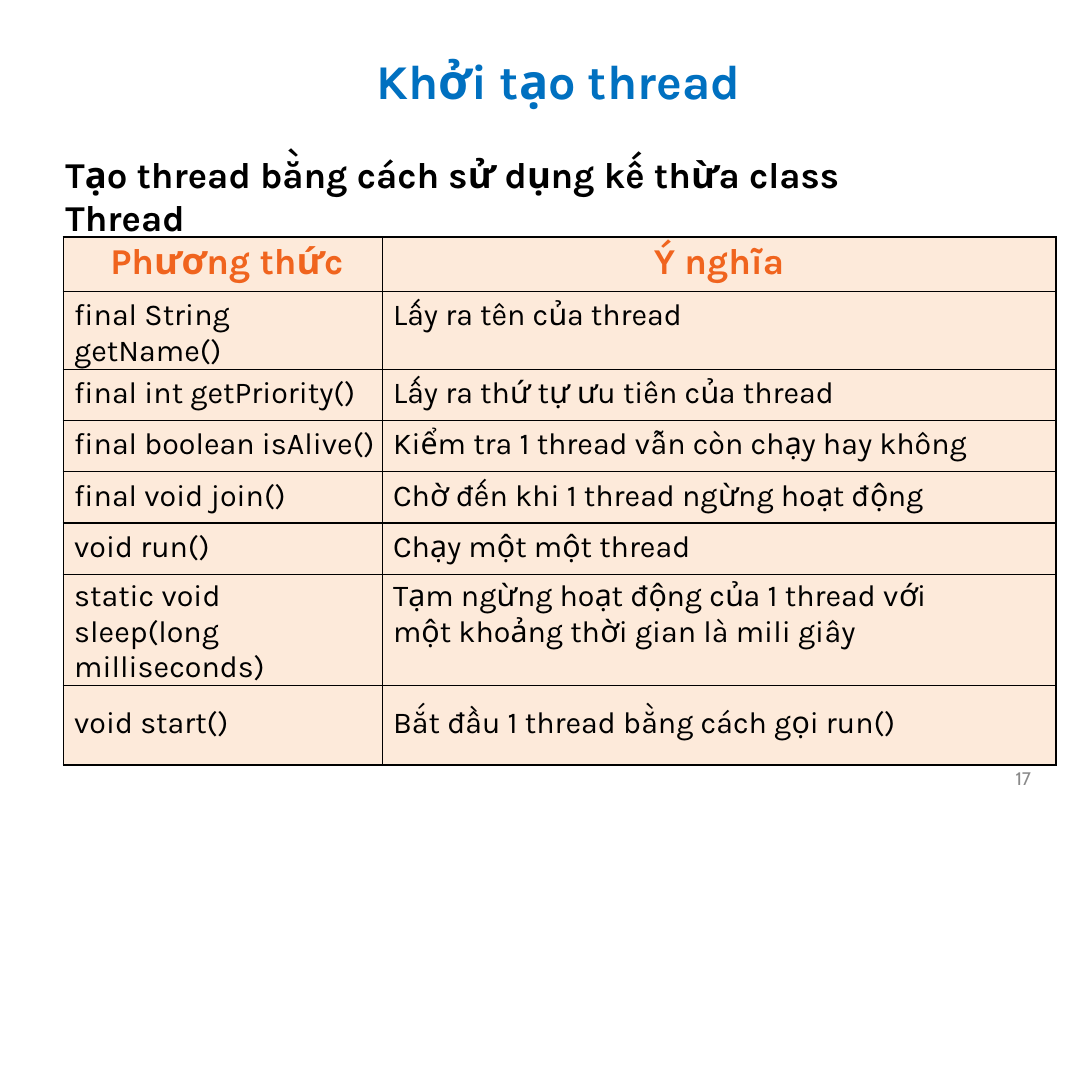
from dataclasses import dataclass

from lxml import etree
from pptx import Presentation
from pptx.dml.color import RGBColor
from pptx.enum.text import MSO_ANCHOR, MSO_AUTO_SIZE, PP_ALIGN
from pptx.oxml.ns import qn
from pptx.util import Inches, Pt

LEFT, CENTER = PP_ALIGN.LEFT, PP_ALIGN.CENTER
TOP = MSO_ANCHOR.TOP
NO_FIT = MSO_AUTO_SIZE.NONE
TITLE_ONLY = 5

# Content
TITLE = "Khởi tạo thread"
SUBTITLE = "Tạo thread bằng cách sử dụng kế thừa class Thread"
PAGE_NUMBER = "17"
HEADER = ("Phương thức", "Ý nghĩa")
METHODS = [
    ("final String getName()", "Lấy ra tên của thread"),
    ("final int getPriority()", "Lấy ra thứ tự ưu tiên của thread"),
    ("final boolean isAlive()", "Kiểm tra 1 thread vẫn còn chạy hay không"),
    ("final void join()", "Chờ đến khi 1 thread ngừng hoạt động"),
    ("void run()", "Chạy một một thread"),
    ("static void sleep(long milliseconds)",
     "Tạm ngừng hoạt động của 1 thread với một khoảng thời gian là mili giây"),
    ("void start()", "Bắt đầu 1 thread bằng cách gọi run()"),
]

# Table grid, in inches
COLUMN_WIDTHS = (2.92, 6.17)
ROW_HEIGHTS = [0.5] + [0.47] * 5 + [0.77, 0.73]
TOP_MARGINS = [0.04] + [0.06] * 5 + [0.04, 0.19]
SPACES_BEFORE = [3] + [4.3] * 5 + [3, 13.8]  # points
NARROWED_CELLS = {(1, 0): 0.3, (6, 0): 0.3, (6, 1): 1}  # right margins


@dataclass(frozen=True)
class Theme:
    font: str = "Karla"
    number_font: str = "Cabin"
    title: str = "0070C0"
    header: str = "F0641E"
    text: str = "000000"
    number: str = "8A8A8A"
    cell: str = "FDEADA"
    border: str = "000000"
    title_size: int = 32
    heading_size: int = 24
    body_size: int = 20
    number_size: int = 12


THEME = Theme()


def write(frame, text, size, color, bold=False, font=THEME.font,
          indent=0, before=1, align=LEFT):
    frame.text = text
    para = frame.paragraphs[0]
    para.alignment = align
    para.space_before = Pt(before)
    properties = para._p.get_or_add_pPr()
    properties.set("marL", str(Inches(indent)))
    properties.set("indent", "0")
    for span in para.runs:
        span.font.name = font
        span.font.size = Pt(size)
        span.font.bold = bold
        span.font.color.rgb = RGBColor.from_string(color)


def place(box, left, top, width, height, inset):
    box.left, box.top, box.width, box.height = map(
        Inches, (left, top, width, height))
    frame = box.text_frame
    frame.word_wrap = True
    frame.auto_size = NO_FIT
    frame.vertical_anchor = TOP
    frame.margin_left = frame.margin_right = frame.margin_bottom = 0
    frame.margin_top = Inches(inset)
    return frame


def add_text(page, left, top, width, height):
    box = page.shapes.add_textbox(0, 0, 0, 0)
    return place(box, left, top, width, height, 0.01)


def style_cell(cell, row, column):
    cell.margin_left = cell.margin_bottom = 0
    cell.margin_right = Inches(NARROWED_CELLS.get((row, column), 0))
    cell.margin_top = Inches(TOP_MARGINS[row])
    cell.vertical_anchor = TOP
    properties = cell._tc.get_or_add_tcPr()
    for side in ("lnL", "lnR", "lnT", "lnB"):
        line = etree.SubElement(properties, qn(f"a:{side}"), w=str(Pt(1)))
        fill = etree.SubElement(line, qn("a:solidFill"))
        etree.SubElement(fill, qn("a:srgbClr"), val=THEME.border)
    cell.fill.solid()
    cell.fill.fore_color.rgb = RGBColor.from_string(THEME.cell)


def add_methods_table(page):
    rows = [HEADER] + METHODS
    table = page.shapes.add_table(
        len(rows), len(HEADER), Inches(0.58), Inches(2.17),
        Inches(sum(COLUMN_WIDTHS)), Inches(sum(ROW_HEIGHTS))).table
    table.first_row = table.horz_banding = False
    for column, width in zip(table.columns, COLUMN_WIDTHS):
        column.width = Inches(width)
    for row, texts in enumerate(rows):
        table.rows[row].height = Inches(ROW_HEIGHTS[row])
        for column, text in enumerate(texts):
            cell = table.cell(row, column)
            style_cell(cell, row, column)
            before = SPACES_BEFORE[row]
            if row == 0:
                write(cell.text_frame, text, THEME.heading_size, THEME.header,
                      bold=True, before=before,
                      indent=(0.43, 0)[column], align=(LEFT, CENTER)[column])
            else:
                write(cell.text_frame, text, THEME.body_size, THEME.text,
                      indent=0.1, before=before)


def main():
    deck = Presentation()
    deck.slide_width = deck.slide_height = Inches(10)
    page = deck.slides.add_slide(deck.slide_layouts[TITLE_ONLY])

    # Page number
    write(add_text(page, 9.26, 7.02, 0.28, 0.23), PAGE_NUMBER,
          THEME.number_size, THEME.number, font=THEME.number_font, indent=0.04)

    # Methods of the class
    add_methods_table(page)

    # Title and subtitle
    title = place(page.shapes.title, 1.25, 0.39, 7.67, 0.63, 0.08)
    write(title, TITLE, THEME.title_size, THEME.title, bold=True, indent=2.2)
    write(add_text(page, 0.59, 1.38, 8.06, 0.43), SUBTITLE,
          THEME.heading_size, THEME.text, bold=True, indent=0.01)

    deck.save("out.pptx")


if __name__ == "__main__":
    main()
